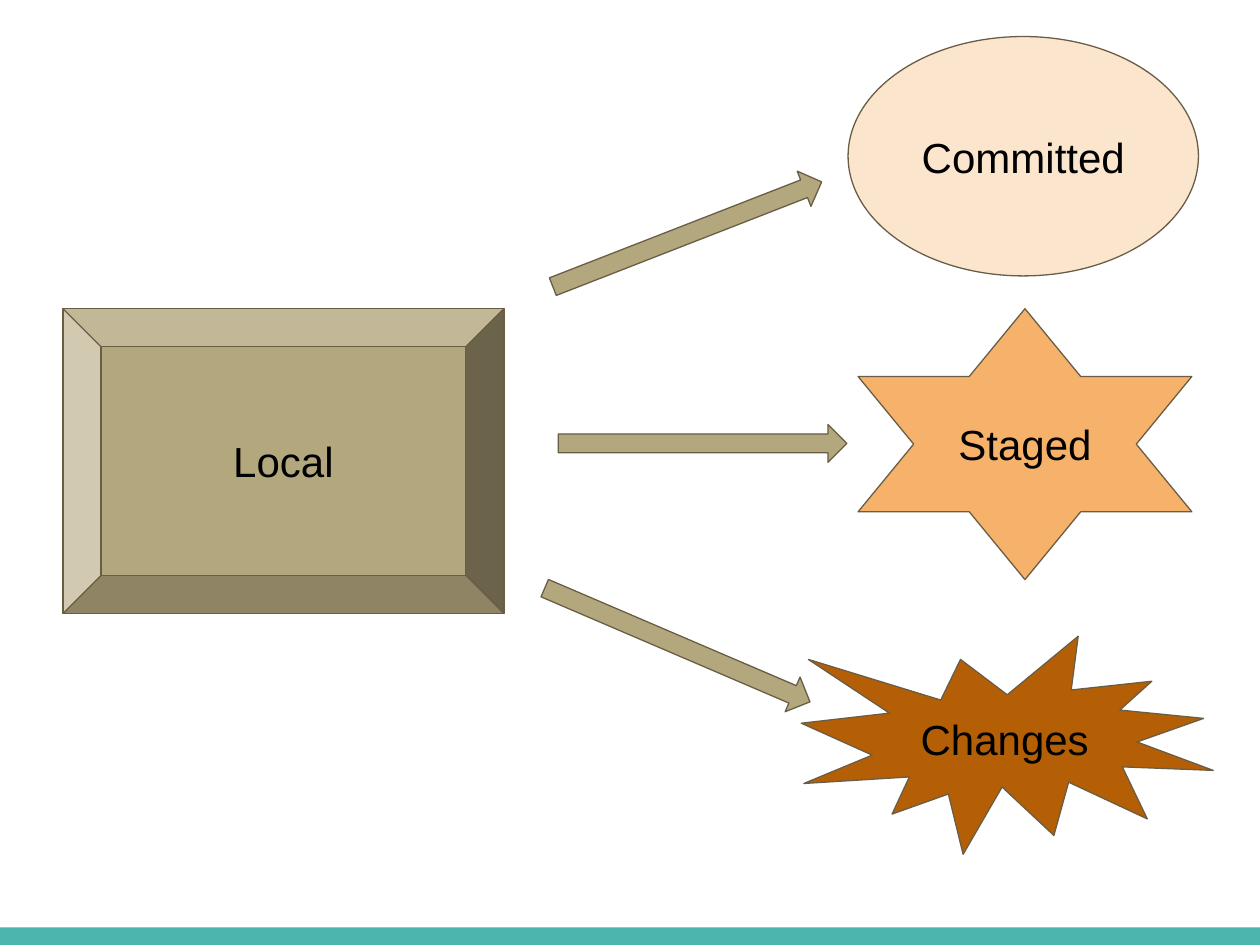
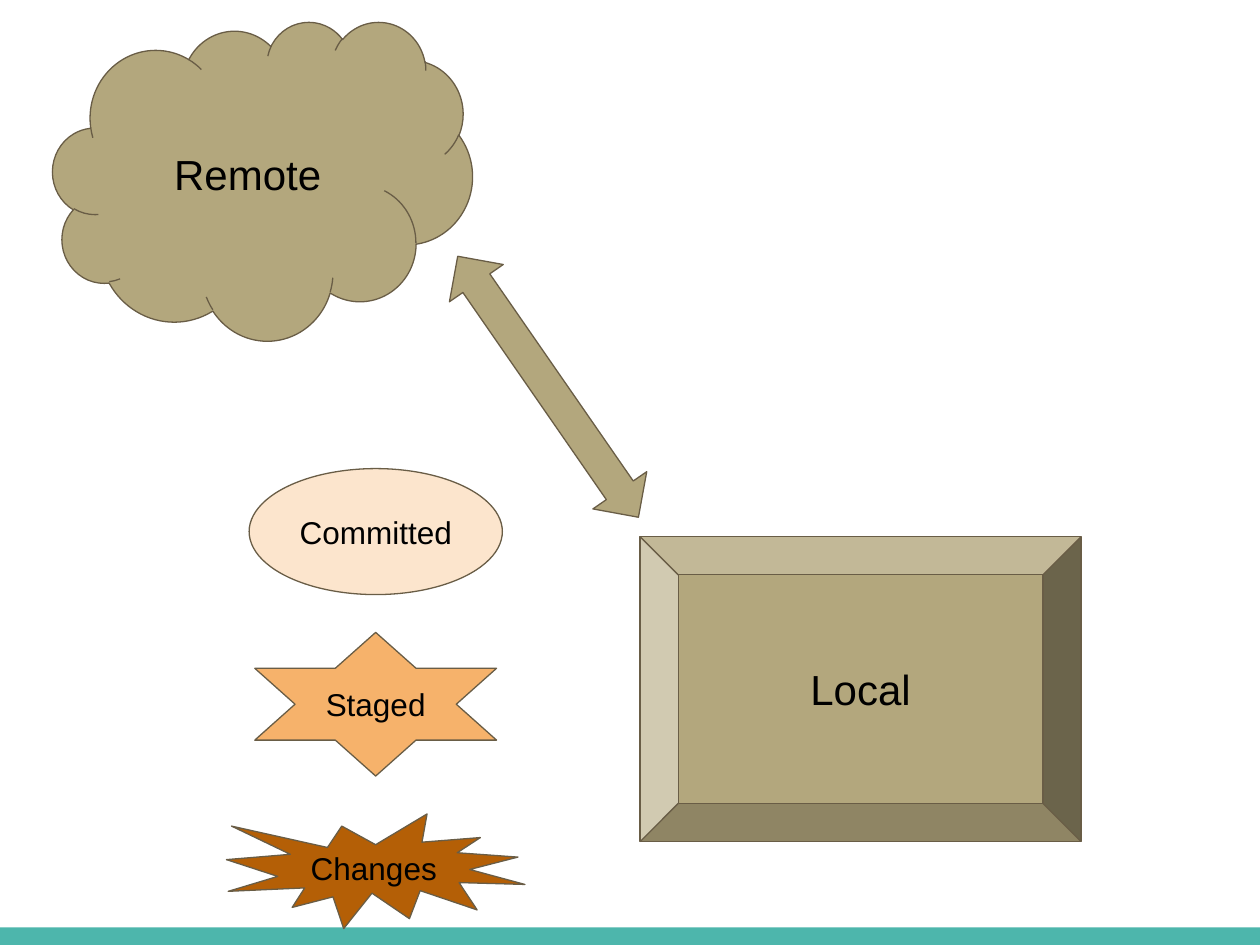
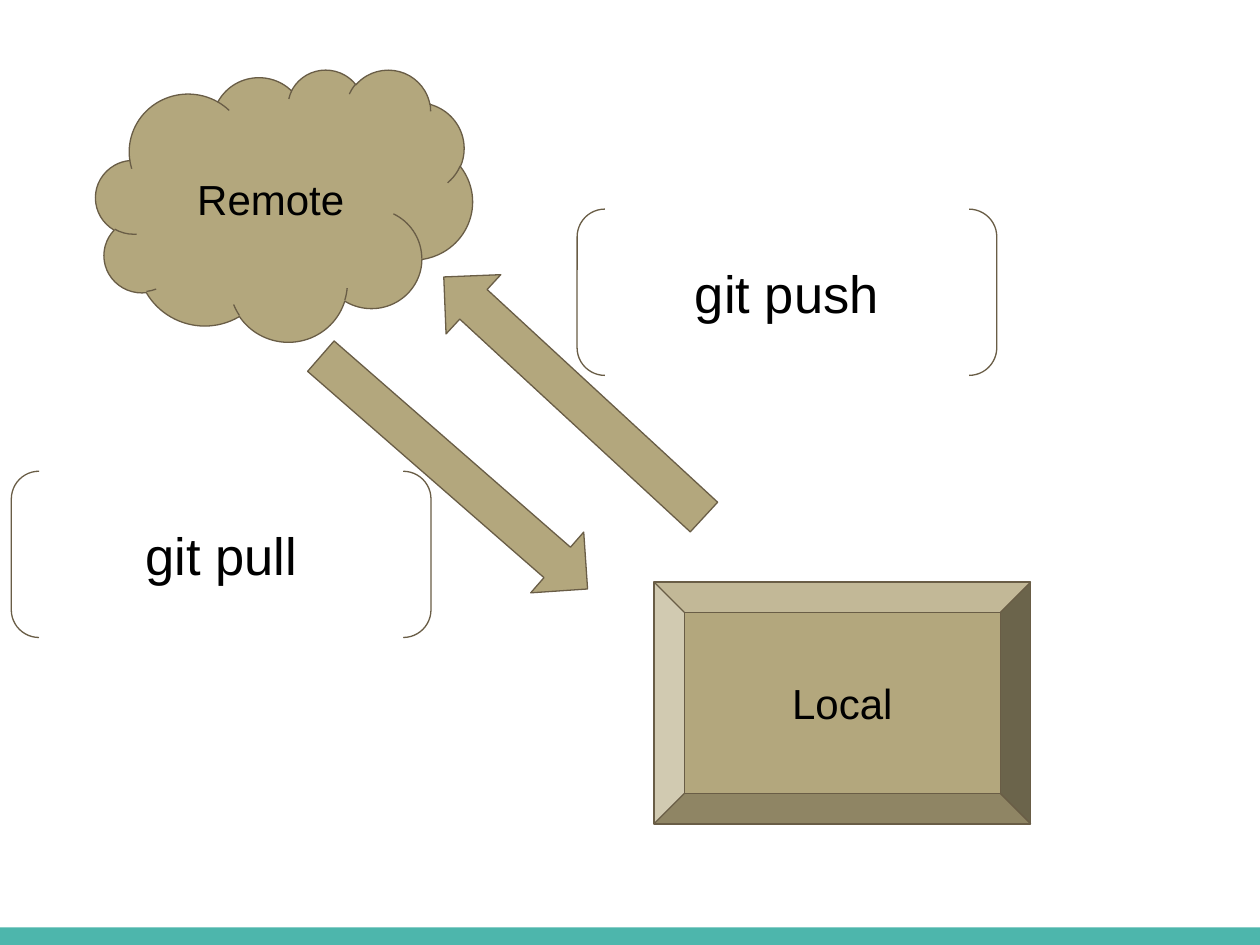
import pptx
import pptx.util
import pptx.dml.color
import pptx.enum.shapes
import pptx.enum.text

Pt = pptx.util.Pt
MSO = pptx.enum.shapes.MSO_SHAPE

KHAKI, OUTLINE, BAND, INK = "B3A77D", "695D46", "4DB6AC", "000000"

KINDS = {
    "Local": (MSO.BEVEL, KHAKI),
    "Remote": (MSO.CLOUD, KHAKI),
    "Committed": (MSO.OVAL, "FCE5CD"),
    "Staged": (MSO.STAR_6_POINT, "F6B26B"),
    "Changes": (MSO.EXPLOSION1, "B45F06"),
    "git push": (MSO.DOUBLE_BRACKET, None),
    "git pull": (MSO.DOUBLE_BRACKET, None),
}

LOCAL_SIZE = (252, 174.2)
THIN_ARROW = (164.9, 21.6)
THICK_ARROW = (202.3, 46.1)
BRACKETS = (239.8, 95)

STACK = [("Committed", (144.7, 72)), ("Staged", (138.2, 82.1)), ("Changes", (170.6, 65.5))]
STACK_CENTRE, STACK_TOP, STACK_GAP = 214.7, 267.8, 21.6


def stack_items():
    items, top = [], STACK_TOP
    for label, (w, h) in STACK:
        items.append((label, (STACK_CENTRE - w / 2, top), (w, h), 18))
        top += h + STACK_GAP
    return items


SLIDES = [
    {
        "arrows": [
            (MSO.RIGHT_ARROW, (310.3, 123.1), THIN_ARROW, 338.7),
            (MSO.RIGHT_ARROW, (319, 242.6), THIN_ARROW, 0),
            (MSO.RIGHT_ARROW, (304.6, 357.8), THIN_ARROW, 23.2),
        ],
        "items": [
            ("Local", (36, 176.4), LOCAL_SIZE, 24),
            ("Changes", (457.9, 363.6), (235.4, 124.6), 24),
            ("Staged", (490.3, 176.4), (190.8, 154.8), 24),
            ("Committed", (484.6, 20.9), (200.2, 136.8), 24),
        ],
    },
    {
        "arrows": [(MSO.UP_DOWN_ARROW, (294.5, 130.3), (37.4, 181.4), 325.3)],
        "items": [
            ("Remote", (30.2, 12.2), (239.8, 182.2), 24),
            ("Local", (365.8, 306.7), LOCAL_SIZE, 24),
        ] + stack_items(),
    },
    {
        "arrows": [
            (MSO.RIGHT_ARROW, (158.4, 247), THICK_ARROW, 41.1),
            (MSO.RIGHT_ARROW, (226.8, 203.8), THICK_ARROW, 222.7),
        ],
        "items": [
            ("Remote", (54.7, 39.6), (215.3, 155.5), 24),
            ("Local", (373.7, 332.6), (215.3, 138.2), 24),
            ("git push", (329.8, 119.5), BRACKETS, 30),
            ("git pull", (6.5, 269.3), BRACKETS, 30),
        ],
    },
]


def rgb(value):
    return pptx.dml.color.RGBColor.from_string(value)


def set_all(obj, values):
    for name, value in values.items():
        setattr(obj, name, value)


def add_shape(s, kind, pos, size, fill, line=OUTLINE):
    sp = s.shapes.add_shape(kind, *(Pt(v) for v in pos + size))
    sp.shadow.inherit = False
    for fmt, color in ((sp.fill, fill), (sp.line.fill, line)):
        if color:
            fmt.solid()
            fmt.fore_color.rgb = rgb(color)
        else:
            fmt.background()
    if line:
        sp.line.width = Pt(0.75)
    return sp


def add_label(sp, text, size):
    tf = sp.text_frame
    set_all(tf, {"word_wrap": True, "vertical_anchor": pptx.enum.text.MSO_ANCHOR.MIDDLE})
    set_all(tf, {f"margin_{side}": Pt(7.2) for side in ("left", "top", "right", "bottom")})
    p = tf.paragraphs[0]
    p.alignment = pptx.enum.text.PP_ALIGN.CENTER
    r = p.add_run()
    r.text = text
    set_all(r.font, {"name": "Arial", "size": Pt(size)})
    r.font.color.rgb = rgb(INK)


def main():
    prs = pptx.Presentation()
    set_all(prs, {"slide_width": Pt(720), "slide_height": Pt(540)})
    for content in SLIDES:
        s = prs.slides.add_slide(prs.slide_layouts[6])
        add_shape(s, MSO.RECTANGLE, (0, 530), (720, 10), BAND, None)
        for kind, pos, size, angle in content["arrows"]:
            add_shape(s, kind, pos, size, KHAKI).rotation = angle
        for label, pos, size, font_size in content["items"]:
            kind, fill = KINDS[label]
            add_label(add_shape(s, kind, pos, size, fill), label, font_size)
    prs.save("out.pptx")


if __name__ == "__main__":
    main()
